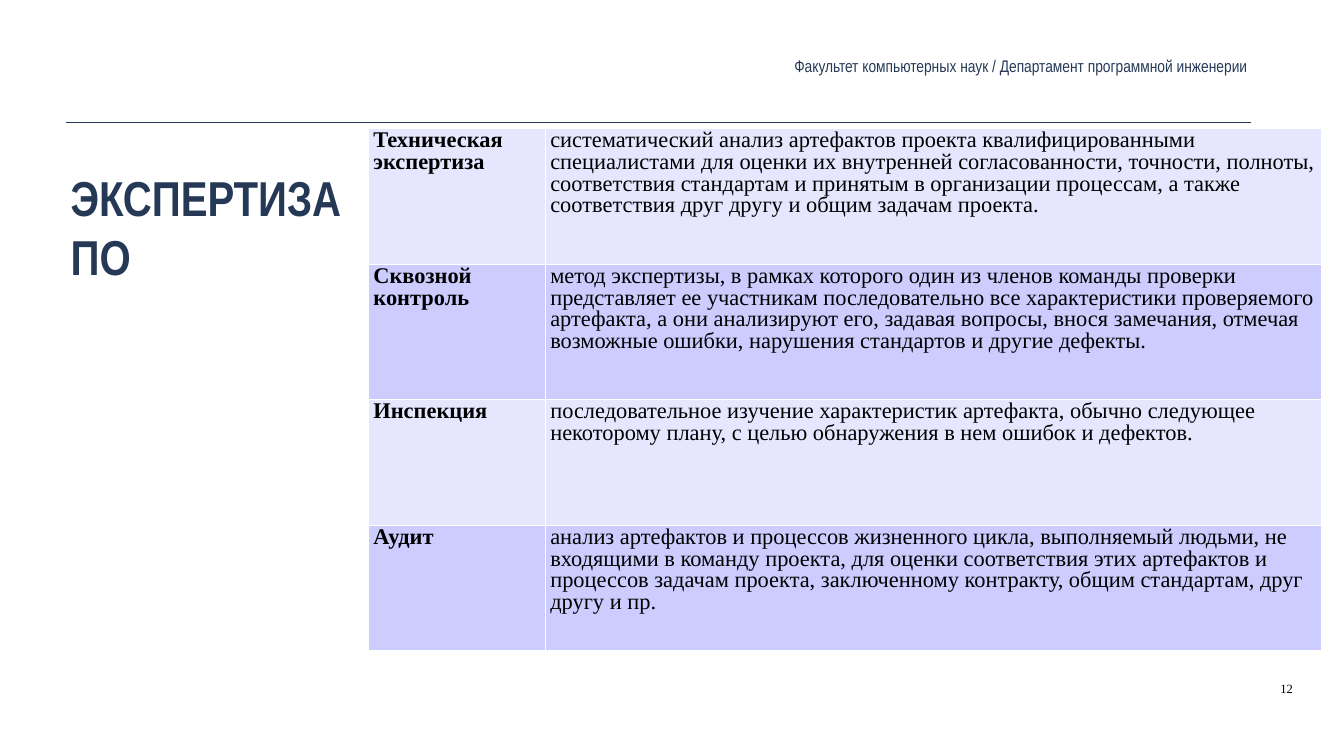
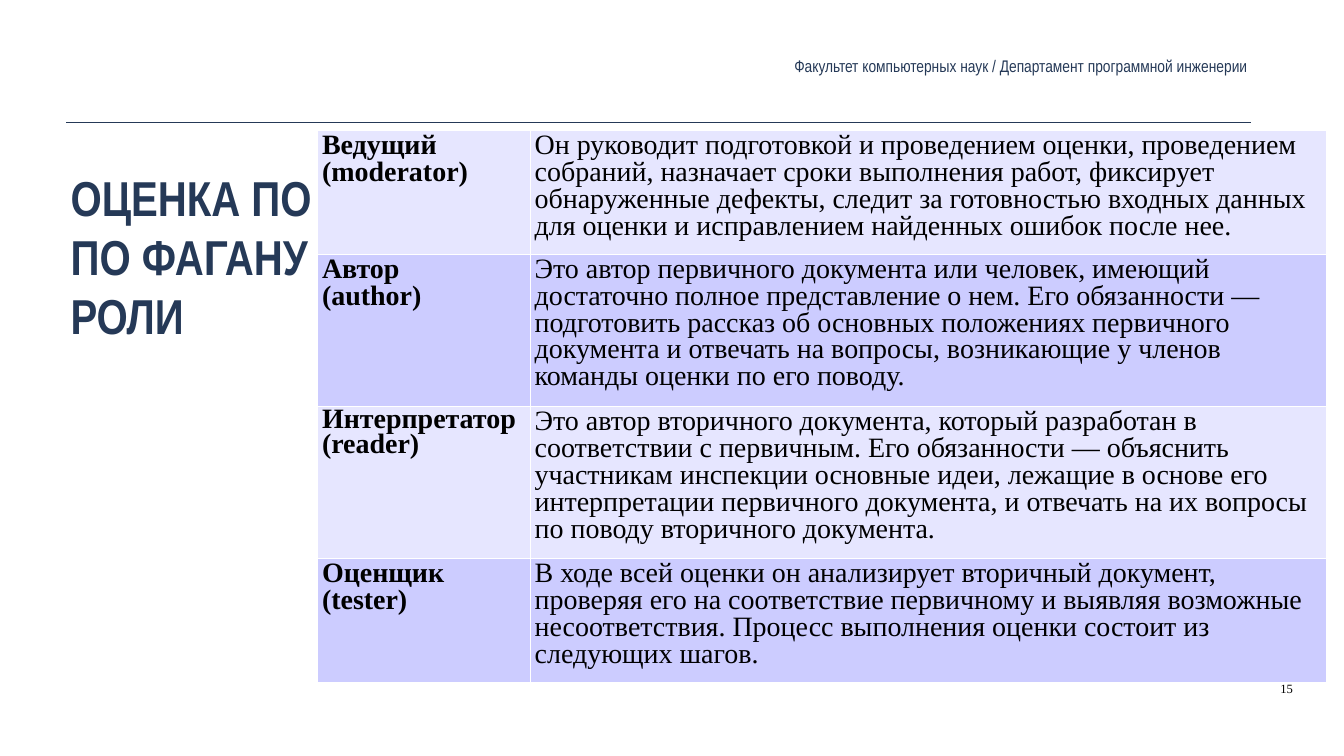
from lxml.etree import SubElement
from pptx import Presentation
from pptx.dml.color import RGBColor
from pptx.enum.shapes import MSO_CONNECTOR
from pptx.enum.text import MSO_ANCHOR as Anchor, MSO_AUTO_SIZE as AutoSize, PP_ALIGN as Align
from pptx.oxml.ns import qn
from pptx.util import Inches, Pt

NAVY = RGBColor(0x25, 0x39, 0x57)
BLACK = RGBColor(0x00, 0x00, 0x00)
WHITE = RGBColor(0xFF, 0xFF, 0xFF)
BANDS = (RGBColor(0xE6, 0xE6, 0xFF), RGBColor(0xCC, 0xCC, 0xFF))
HEADING_FONT, BODY_FONT = "Arial Narrow", "Times New Roman"

TITLE_FORMAT = {"name": HEADING_FONT, "size": Pt(70), "bold": True, "color": NAVY}
HEADER_FORMAT = {"name": HEADING_FONT, "size": Pt(24), "color": NAVY}
NUMBER_FORMAT = {"name": BODY_FONT, "size": Pt(18), "color": BLACK}

HEADER = "Факультет компьютерных наук / Департамент программной инженерии"
LINE_SPACING = 0.87
TIGHT_SPACING = {"Интерпретатор (reader)": 0.81}

SLIDES = [
    {
        "title": "ЭКСПЕРТИЗА\nПО",
        "number": "12",
        "corner": (7.31, 2.54),
        "columns": (3.51, 15.39),
        "row_heights": (2.69, 2.69, 2.49, 2.49),
        "size": 32,
        "rows": [
            ("Техническая экспертиза",
             "систематический анализ артефактов проекта квалифицированными специалистами для оценки "
             "их внутренней согласованности, точности, полноты, соответствия стандартам и принятым "
             "в организации процессам, а также соответствия друг другу и общим задачам проекта."),
            ("Сквозной контроль",
             "метод экспертизы, в рамках которого один из членов команды проверки представляет ее "
             "участникам последовательно все характеристики проверяемого артефакта, а они "
             "анализируют его, задавая вопросы, внося замечания, отмечая возможные ошибки, "
             "нарушения стандартов и другие дефекты."),
            ("Инспекция",
             "последовательное изучение характеристик артефакта, обычно следующее некоторому "
             "плану, с целью обнаружения в нем ошибок и дефектов."),
            ("Аудит",
             "анализ артефактов и процессов жизненного цикла, выполняемый людьми, не входящими "
             "в команду проекта, для оценки соответствия этих артефактов и процессов задачам "
             "проекта, заключенному контракту, общим стандартам, друг другу и пр."),
        ],
    },
    {
        "title": "ОЦЕНКА ПО\nПО ФАГАНУ\nРОЛИ",
        "number": "15",
        "corner": (6.29, 2.58),
        "columns": (4.22, 15.8),
        "row_heights": (2.46, 3.02, 3.02, 2.46),
        "size": 40,
        "rows": [
            ("Ведущий (moderator)",
             "Он руководит подготовкой и проведением оценки, проведением собраний, назначает "
             "сроки выполнения работ, фиксирует обнаруженные дефекты, следит за готовностью "
             "входных данных для оценки и исправлением найденных ошибок после нее."),
            ("Автор\n(author)",
             "Это автор первичного документа или человек, имеющий достаточно полное представление "
             "о нем. Его обязанности — подготовить рассказ об основных положениях первичного "
             "документа и отвечать на вопросы, возникающие у членов команды оценки по его поводу."),
            ("Интерпретатор (reader)",
             "Это автор вторичного документа, который разработан в соответствии с первичным. "
             "Его обязанности — объяснить участникам инспекции основные идеи, лежащие в основе его "
             "интерпретации первичного документа, и отвечать на их вопросы по поводу вторичного "
             "документа."),
            ("Оценщик (tester)",
             "В ходе всей оценки он анализирует вторичный документ, проверяя его на соответствие "
             "первичному и выявляя возможные несоответствия. Процесс выполнения оценки состоит "
             "из следующих шагов."),
        ],
    },
]


def write(frame, text, font, align=Align.LEFT, spacing=None):
    """Fill a text frame, one paragraph a line, and format every run."""
    frame.text = text
    for para in frame.paragraphs:
        para.alignment = align
        if spacing:
            para.line_spacing = spacing
        for span in para.runs:
            for name, value in font.items():
                if name == "color":
                    span.font.color.rgb = value
                else:
                    setattr(span.font, name, value)


def set_frame(frame, inset_x, inset_y, anchor=Anchor.TOP, auto_size=AutoSize.NONE):
    values = {
        "margin_left": Inches(inset_x), "margin_right": Inches(inset_x),
        "margin_top": Inches(inset_y), "margin_bottom": Inches(inset_y),
        "vertical_anchor": anchor, "auto_size": auto_size, "word_wrap": True,
    }
    for name, value in values.items():
        setattr(frame, name, value)


def add_rule(page):
    rule = page.shapes.add_connector(
        MSO_CONNECTOR.STRAIGHT, Inches(1.31), Inches(2.42), Inches(24.83), Inches(2.42))
    rule.line.color.rgb = NAVY
    rule.line.width = Pt(1)
    SubElement(rule._element.spPr, qn("a:effectLst"))


def add_title(page, text):
    title = page.shapes.title
    title.left, title.top = Inches(1.32), Inches(3.25)
    title.width, title.height = Inches(23.43), Inches(1.73)
    set_frame(title.text_frame, 0.08, 0.08)
    write(title.text_frame, text, TITLE_FORMAT)


def add_header(page):
    box = page.shapes.add_textbox(Inches(12.4), Inches(1.03), Inches(12.43), Inches(0.56))
    set_frame(box.text_frame, 0.08, 0.08, Anchor.MIDDLE, AutoSize.SHAPE_TO_FIT_TEXT)
    write(box.text_frame, HEADER, HEADER_FORMAT, Align.RIGHT)


def add_number(page, number):
    box = page.shapes.add_textbox(Inches(25.31), Inches(13.47), Inches(3.75), Inches(0.37))
    set_frame(box.text_frame, 0.1, 0.05)
    write(box.text_frame, number, NUMBER_FORMAT)


def add_borders(cell):
    properties = cell._tc.get_or_add_tcPr()
    for side in ("a:lnL", "a:lnR", "a:lnT", "a:lnB"):
        line = SubElement(properties, qn(side), w=str(Pt(0.06)))
        fill = SubElement(line, qn("a:solidFill"))
        SubElement(fill, qn("a:srgbClr"), val=str(WHITE))


def add_definitions(page, content):
    """Add the table of terms and their definitions in bands of two tints."""
    columns, heights = content["columns"], content["row_heights"]
    left, top = content["corner"]
    table = page.shapes.add_table(
        len(heights), len(columns), Inches(left), Inches(top),
        Inches(sum(columns)), Inches(sum(heights))).table
    table.first_row = table.horz_banding = False
    for column, width in zip(table.columns, columns):
        column.width = Inches(width)
    for row_index, (row, height) in enumerate(zip(table.rows, heights)):
        row.height = Inches(height)
        for column_index, text in enumerate(content["rows"][row_index]):
            cell = table.cell(row_index, column_index)
            add_borders(cell)
            cell.fill.solid()
            cell.fill.fore_color.rgb = BANDS[row_index % 2]
            cell.margin_left = cell.margin_right = Inches(0.1)
            cell.margin_top = cell.margin_bottom = Inches(0.05)
            font = {"name": BODY_FONT, "size": Pt(content["size"]),
                    "bold": column_index == 0, "color": BLACK}
            write(cell.text_frame, text, font,
                  spacing=TIGHT_SPACING.get(text, LINE_SPACING))


def main():
    deck = Presentation()
    deck.slide_width, deck.slide_height = Inches(26.67), Inches(15)
    title_only = deck.slide_layouts[5]
    for content in SLIDES:
        page = deck.slides.add_slide(title_only)
        add_rule(page)
        add_title(page, content["title"])
        add_header(page)
        add_number(page, content["number"])
        add_definitions(page, content)
    deck.save("out.pptx")


if __name__ == "__main__":
    main()
